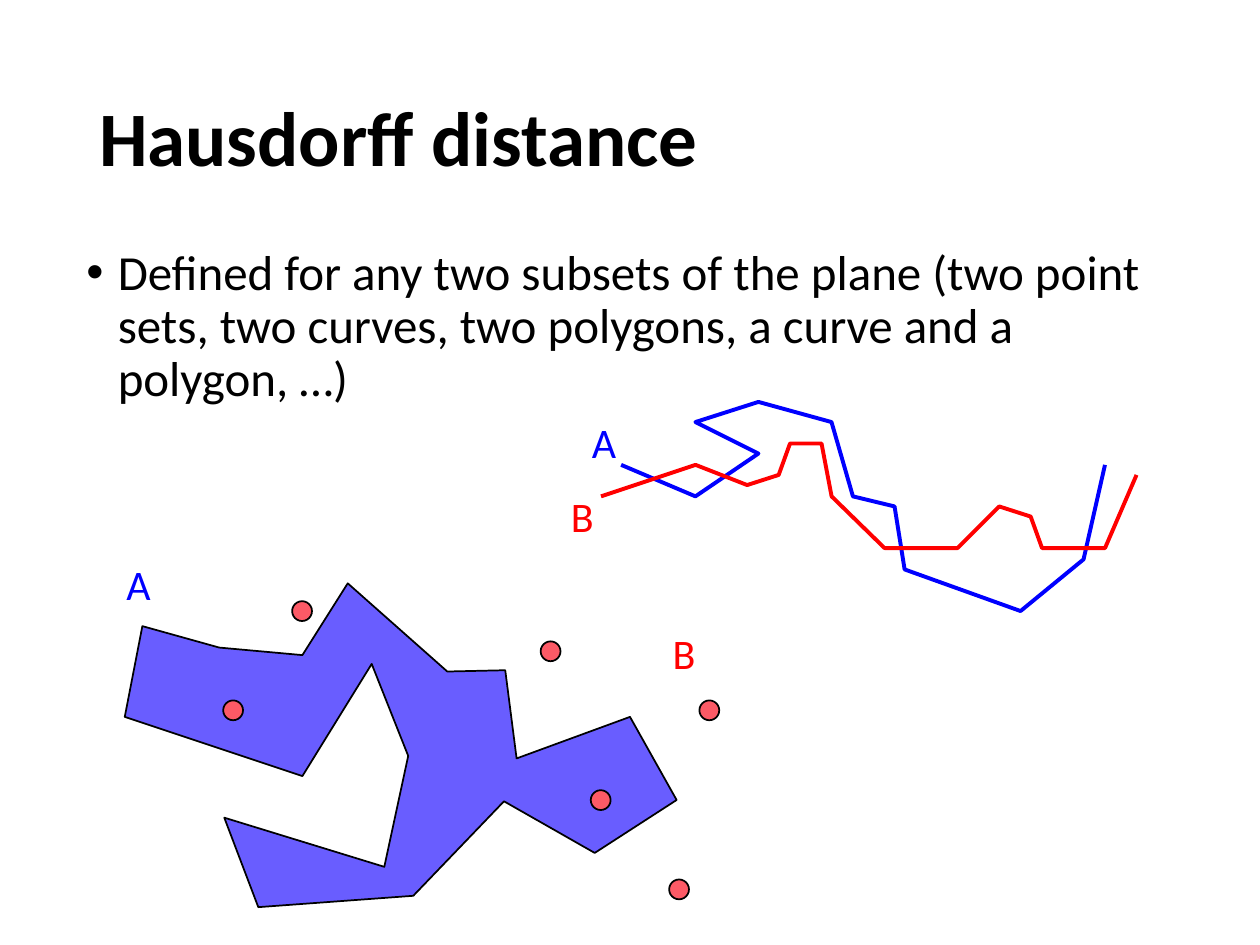
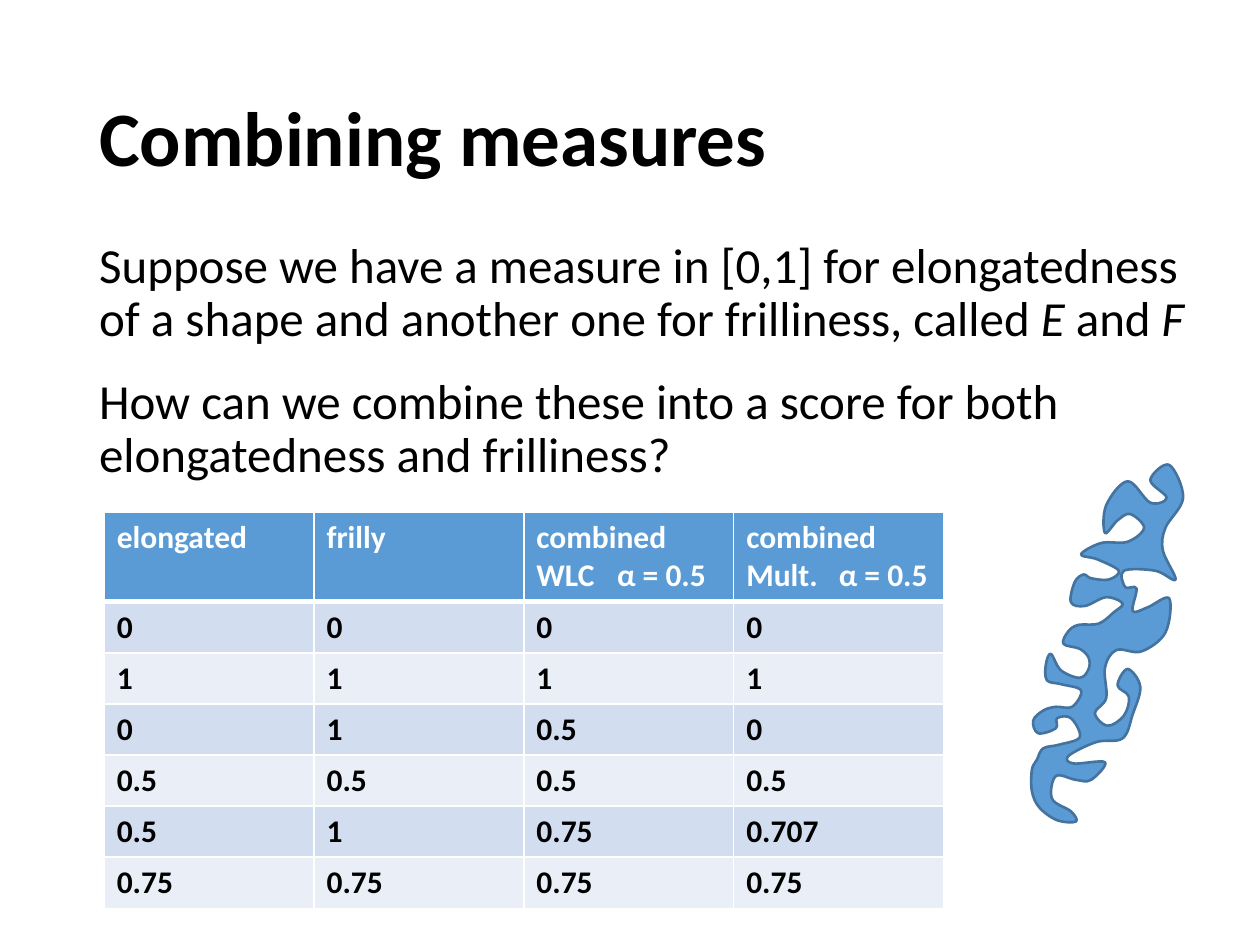
from lxml.etree import SubElement
from pptx import Presentation
from pptx.dml.color import RGBColor
from pptx.enum.shapes import MSO_SHAPE
from pptx.enum.text import MSO_ANCHOR as Anchor
from pptx.oxml.ns import qn
from pptx.util import Cm, Pt

# Shared look
FONT = "Calibri"
BLACK = RGBColor(0x00, 0x00, 0x00)
WHITE = RGBColor(0xFF, 0xFF, 0xFF)
BLUE = RGBColor(0x00, 0x00, 0xFF)
RED = RGBColor(0xFF, 0x00, 0x00)
POLYGON_VIOLET = RGBColor(0x69, 0x5D, 0xFF)
POINT_RED = RGBColor(0xFC, 0x5A, 0x66)
STEEL = RGBColor(0x5B, 0x9B, 0xD5)
STEEL_DARK = RGBColor(0x43, 0x73, 0x9E)
BAND_DARK = RGBColor(0xD2, 0xDE, 0xEF)
BAND_LIGHT = RGBColor(0xEA, 0xEF, 0xF7)

TITLE_BOX = (1.75, 1.02, 21.9, 3.68)
TITLE_FORMAT = {"size": Pt(44), "bold": True}
BODY_FORMAT = {"size": Pt(28)}
LABEL_FORMAT = {"size": Pt(24)}
TABLE_FORMAT = {"size": Pt(18), "bold": True}
GRID = 2.54  # cm per unit of the outline coordinates

# Hausdorff slide: outlines in grid units, places in cm
CURVE_A = [
    (4.93, 3.69), (5.52, 3.94), (6.02, 3.6), (5.52, 3.35), (6.02, 3.19), (6.6, 3.35),
    (6.77, 3.94), (7.1, 4.02), (7.18, 4.52), (8.1, 4.85), (8.6, 4.44), (8.77, 3.69),
]
CURVE_B = [
    (4.77, 3.94), (5.52, 3.69), (5.93, 3.85), (6.18, 3.77), (6.27, 3.52), (6.52, 3.52),
    (6.6, 3.94), (7.02, 4.35), (7.6, 4.35), (7.93, 4.02), (8.18, 4.1), (8.27, 4.35),
    (8.77, 4.35), (9.02, 3.77),
]
POLYGON_A = [
    (1.13, 4.97), (0.99, 5.69), (2.4, 6.16), (2.95, 5.27), (3.24, 6), (3.05, 6.88),
    (1.78, 6.49), (2.05, 7.2), (3.28, 7.11), (4, 6.36), (4.72, 6.77), (5.37, 6.35),
    (5, 5.69), (4.1, 6.02), (4.01, 5.32), (3.55, 5.33), (2.76, 4.63), (2.4, 5.2),
    (1.74, 5.14),
]
POINTS_B = [(11.91, 15.93), (4.5, 14.12), (10.9, 12.93), (14.1, 14.12), (13.49, 17.73), (5.89, 12.12)]
POINT_SIZE = 0.4
SET_LABELS = [
    ("A", 11.68, 8.28, BLUE), ("B", 11.26, 9.77, RED),
    ("A", 2.3, 11.13, BLUE), ("B", 13.31, 12.52, RED),
]

# Measures slide: knots of the smooth frilly shape, and the scores
FRILLY_KNOTS = [
    (8.95, 3.82), (8.78, 4.01), (8.77, 4.23), (8.87, 4.13), (8.97, 4.08), (9.08, 4.19),
    (8.95, 4.3), (8.74, 4.31), (8.58, 4.4), (8.71, 4.44), (8.88, 4.53), (8.8, 4.6),
    (8.66, 4.59), (8.6, 4.56), (8.53, 4.62), (8.5, 4.78), (8.61, 4.81), (8.78, 4.74),
    (8.91, 4.79), (8.84, 4.86), (8.72, 4.95), (8.56, 4.96), (8.48, 5.01), (8.44, 5.11),
    (8.57, 5.15), (8.64, 5.22), (8.64, 5.31), (8.57, 5.38), (8.42, 5.32), (8.34, 5.19),
    (8.3, 5.28), (8.31, 5.4), (8.42, 5.43), (8.58, 5.48), (8.51, 5.61), (8.38, 5.61),
    (8.28, 5.64), (8.2, 5.72), (8.24, 5.82), (8.38, 5.78), (8.39, 5.7), (8.5, 5.7),
    (8.57, 5.85), (8.41, 5.91), (8.28, 5.94), (8.23, 6.03), (8.19, 6.11), (8.19, 6.28),
    (8.25, 6.41), (8.39, 6.51), (8.54, 6.52), (8.5, 6.44), (8.35, 6.34), (8.38, 6.16),
    (8.54, 6.19), (8.66, 6.19), (8.77, 6.05), (8.52, 6.06), (8.48, 6), (8.7, 5.89),
    (8.91, 5.86), (8.99, 5.67), (9.05, 5.45), (8.95, 5.31), (8.87, 5.44), (8.96, 5.53),
    (8.92, 5.68), (8.79, 5.76), (8.69, 5.66), (8.78, 5.54), (8.77, 5.3), (8.86, 5.16),
    (9.06, 5.17), (9.25, 5.02), (9.28, 4.75), (9.11, 4.82), (8.99, 4.85), (9.02, 4.67),
    (8.93, 4.66), (8.92, 4.53), (9.17, 4.53), (9.33, 4.6), (9.23, 4.37), (9.25, 4.19),
    (9.39, 3.95), (9.28, 3.69), (9.13, 3.81), (9.26, 3.95), (9.13, 3.99),
]
SCORES = [
    ("elongated", "frilly", "combined WLC", "combined Mult."),
    ("0", "0", "0", "0"),
    ("1", "1", "1", "1"),
    ("0", "1", "0.5", "0"),
    ("0.5", "0.5", "0.5", "0.5"),
    ("0.5", "1", "0.75", "0.707"),
    ("0.75", "0.75", "0.75", "0.75"),
]


def add_run(paragraph, text, formats, color=BLACK):
    run = paragraph.add_run()
    run.text = text
    for name, value in {"name": FONT, **formats}.items():
        setattr(run.font, name, value)
    run.font.color.rgb = color


def add_box(slide, box, wrap=True, anchor=Anchor.TOP):
    frame = slide.shapes.add_textbox(*map(Cm, box)).text_frame
    frame.word_wrap = wrap
    frame.vertical_anchor = anchor
    return frame


def add_title(slide, text):
    paragraph = add_box(slide, TITLE_BOX, anchor=Anchor.MIDDLE).paragraphs[0]
    paragraph.line_spacing = 0.9
    add_run(paragraph, text, TITLE_FORMAT)


def add_body(slide, box, paragraphs, bullet=False):
    """Each paragraph is a list of (text, italic) runs."""
    frame = add_box(slide, box)
    for index, runs in enumerate(paragraphs):
        paragraph = frame.add_paragraph() if index else frame.paragraphs[0]
        paragraph.line_spacing = 0.9
        if index:
            paragraph.space_before = Pt(17)
        if bullet:
            properties = paragraph._p.get_or_add_pPr()
            properties.set("marL", str(Cm(0.635)))
            properties.set("indent", str(-Cm(0.635)))
            SubElement(properties, qn("a:buFont"), typeface="Arial")
            SubElement(properties, qn("a:buChar"), char="•")
        for text, italic in runs:
            add_run(paragraph, text, {**BODY_FORMAT, "italic": italic})


def add_label(slide, text, box, formats, color):
    add_run(add_box(slide, box, wrap=False).paragraphs[0], text, formats, color)


def style_shape(shape, line_color, line_width, fill_color=None):
    shape.shadow.inherit = False
    shape.line.color.rgb = line_color
    shape.line.width = Pt(line_width)
    if fill_color is None:
        shape.fill.background()
    else:
        shape.fill.solid()
        shape.fill.fore_color.rgb = fill_color


def add_outline(slide, points, line_color, line_width, fill_color=None):
    """Draw an open line, or a closed area when a fill is given."""
    corners = [(Cm(x * GRID), Cm(y * GRID)) for x, y in points]
    closed = fill_color is not None
    if closed:
        corners.append(corners[0])
    builder = slide.shapes.build_freeform(*corners[0])
    builder.add_line_segments(corners[1:], close=closed)
    shape = builder.convert_to_shape()
    style_shape(shape, line_color, line_width, fill_color)
    return shape


def smooth_outline(shape):
    """Turn the sides of a closed outline into Bézier curves through its corners."""
    sides = list(shape._element.iter(qn("a:lnTo")))
    knots = [(int(side[0].get("x")), int(side[0].get("y"))) for side in sides]
    for index, side in enumerate(sides):
        before, start, end, after = (
            knots[(index + shift) % len(knots)] for shift in (-2, -1, 0, 1))
        leave = [s + (e - b) / 6 for b, s, e in zip(before, start, end)]
        arrive = [e - (a - s) / 6 for s, e, a in zip(start, end, after)]
        side.tag = qn("a:cubicBezTo")
        side.remove(side[0])
        for x, y in (leave, arrive, end):
            SubElement(side, qn("a:pt"), x=str(round(x)), y=str(round(y)))


def set_borders(cell, widths):
    properties = cell._tc.get_or_add_tcPr()
    for index, (side, width) in enumerate(widths.items()):
        line = SubElement(properties, qn(f"a:{side}"), w=str(Pt(width)))
        fill = SubElement(line, qn("a:solidFill"))
        SubElement(fill, qn("a:srgbClr"), val=str(WHITE))
        properties.remove(line)
        properties.insert(index, line)


def add_score_table(slide, rows):
    shape = slide.shapes.add_table(
        len(rows), len(rows[0]), Cm(2.1), Cm(10.32), Cm(16.94), Cm(7.99))
    table = shape.table
    for column in table.columns:
        column.width = Cm(4.23)
    for r, values in enumerate(rows):
        table.rows[r].height = Cm(1.03 if r else 1.81)
        fill_color = (BAND_DARK if r % 2 else BAND_LIGHT) if r else STEEL
        for c, value in enumerate(values):
            cell = table.cell(r, c)
            cell.fill.solid()
            cell.fill.fore_color.rgb = fill_color
            set_borders(cell, {"lnL": 1, "lnR": 1, "lnT": 3 if r == 1 else 1,
                               "lnB": 1 if r else 3})
            add_run(cell.text_frame.paragraphs[0], value, TABLE_FORMAT, BLACK if r else WHITE)


def build_hausdorff(slide):
    add_title(slide, "Hausdorff distance")
    add_body(slide, (1.49, 4.88, 22.66, 4.27), [[(
        "Defined for any two subsets of the plane (two point sets, two curves, "
        "two polygons, a curve and a polygon, …)", False)]], bullet=True)
    # Two curves
    add_outline(slide, CURVE_A, BLUE, 2.25)
    add_outline(slide, CURVE_B, RED, 2.25)
    # Polygon and point set
    add_outline(slide, POLYGON_A, BLACK, 1, POLYGON_VIOLET)
    for left, top in POINTS_B:
        point = slide.shapes.add_shape(
            MSO_SHAPE.OVAL, Cm(left), Cm(top), Cm(POINT_SIZE), Cm(POINT_SIZE))
        style_shape(point, BLACK, 1, POINT_RED)
    for text, left, top, color in SET_LABELS:
        add_label(slide, text, (left, top, 1, 1.27), LABEL_FORMAT, color)


def build_measures(slide):
    add_title(slide, "Combining measures")
    add_body(slide, (1.75, 4.74, 22.61, 5.44), [
        [("Suppose we have a measure in [0,1] for elongatedness of a shape and "
          "another one for frilliness, called ", False),
         ("E", True), (" and ", False), ("F", True)],
        [("How can we combine these into a score for both elongatedness and "
          "frilliness?", False)],
    ])
    smooth_outline(add_outline(slide, FRILLY_KNOTS, STEEL_DARK, 1.5, STEEL))
    # Scores, with the weight beside each combined heading
    add_score_table(slide, SCORES)
    for left in (12.19, 16.66):
        add_label(slide, "α = 0.5", (left, 11.07, 2.34, 1.02), TABLE_FORMAT, WHITE)


def main():
    presentation = Presentation()
    presentation.slide_width = Cm(25.4)
    presentation.slide_height = Cm(19.05)
    for build in (build_hausdorff, build_measures):
        build(presentation.slides.add_slide(presentation.slide_layouts[6]))
    presentation.save("out.pptx")


if __name__ == "__main__":
    main()
